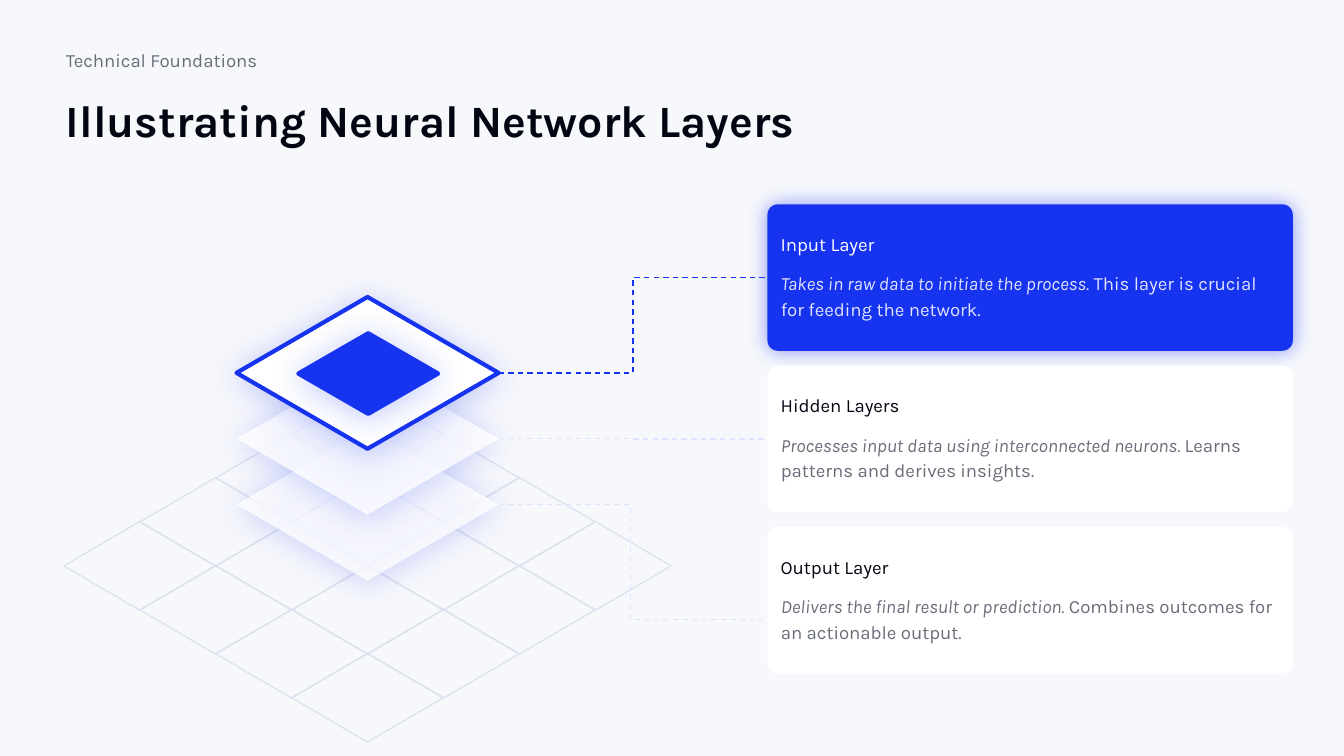
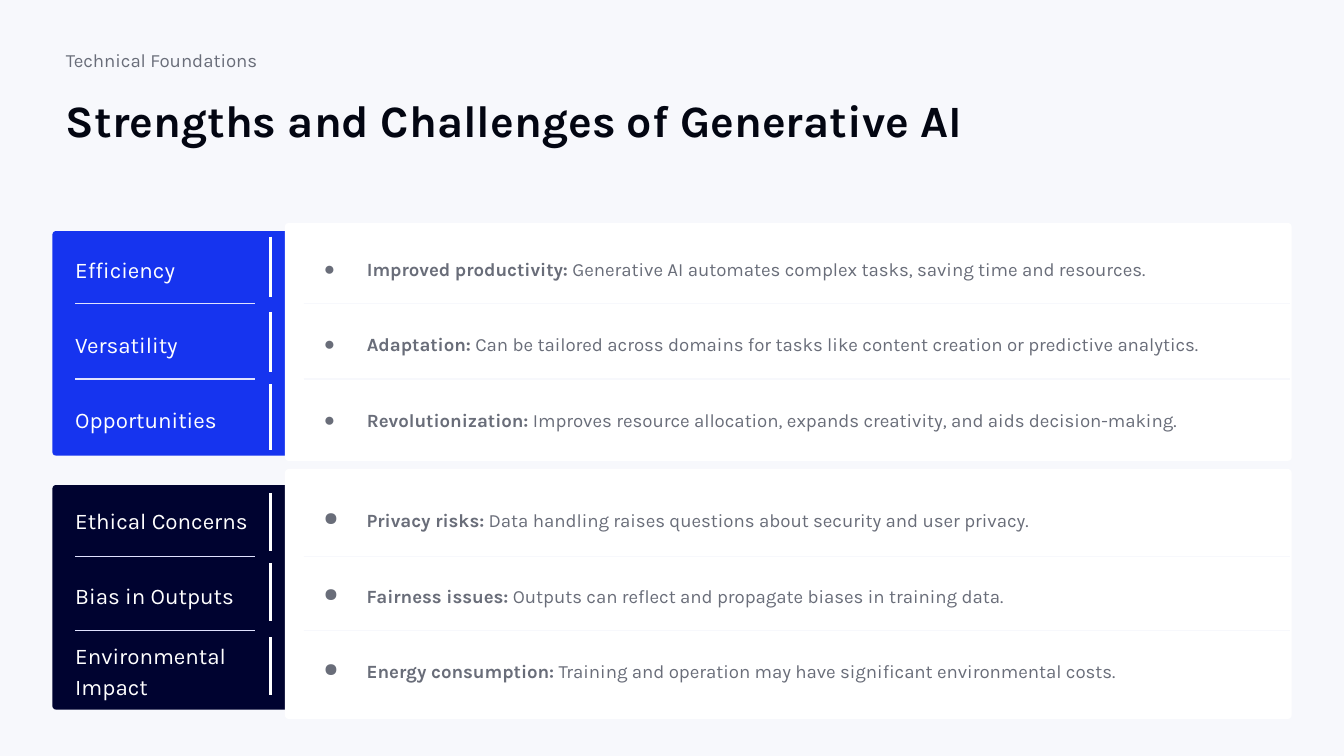
from lxml.etree import SubElement
from pptx import Presentation
from pptx.dml.color import RGBColor
from pptx.enum.dml import MSO_LINE
from pptx.enum.shapes import MSO_CONNECTOR, MSO_SHAPE
from pptx.enum.text import MSO_ANCHOR, MSO_AUTO_SIZE, PP_ALIGN
from pptx.oxml.ns import qn
from pptx.util import Inches, Pt

FONT = "Karla"
COLORS = {
    "paper": "F7F8FC", "white": "FFFFFF", "ink": "030612", "gray": "696D79",
    "blue": "1634EF", "navy": "000330", "pale": "E0E2FF",
    "grid": "DFE2EF", "lilac": "C7C1FD",
}
WIDTH, HEIGHT = 10, 10 * 9 / 16
COMPARISON_LAYOUT = 4

# Content
SECTION = "Technical Foundations"
LAYERS_TITLE = "Illustrating Neural Network Layers"
LAYERS = [
    ("Input Layer", "Takes in raw data to initiate the process.",
     " This layer is crucial for feeding the network."),
    ("Hidden Layers", "Processes input data using interconnected neurons.",
     " Learns patterns and derives insights."),
    ("Output Layer", "Delivers the final result or prediction.",
     " Combines outcomes for an actionable output."),
]
BALANCE_TITLE = "Strengths and Challenges of Generative AI"
# Each row: label, lead-in, explanation, top and bottom of its upright bar
BALANCE = [
    {"color": "blue", "band_top": 1.72, "panel": (1.66, 1.77),
     "first_row": 1.72, "dividers": (2.26, 2.82),
     "rows": [
         ("Efficiency", "Improved productivity:",
          " Generative AI automates complex tasks, saving time and resources.",
          1.76, 2.21),
         ("Versatility", "Adaptation:",
          " Can be tailored across domains for tasks like content creation"
          " or predictive analytics.", 2.32, 2.77),
         ("Opportunities", "Revolutionization:",
          " Improves resource allocation, expands creativity,"
          " and aids decision-making.", 2.86, 3.35)]},
    {"color": "navy", "band_top": 3.61, "panel": (3.49, 1.86),
     "first_row": 3.59, "dividers": (4.14, 4.69),
     "rows": [
         ("Ethical Concerns", "Privacy risks:",
          " Data handling raises questions about security and user privacy.",
          3.67, 4.10),
         ("Bias in Outputs", "Fairness issues:",
          " Outputs can reflect and propagate biases in training data.",
          4.19, 4.62),
         ("Environmental Impact", "Energy consumption:",
          " Training and operation may have significant environmental costs.",
          4.74, 5.17)]},
]


def rgb(name):
    return RGBColor.from_string(COLORS[name])


def add_alpha(color_element, percent):
    SubElement(color_element, qn("a:alpha"), val=str(percent * 1000))


def add_text(slide, box, runs, placeholder=None, size=10, color="gray", bold=False,
             anchor=MSO_ANCHOR.TOP, side=0.1, spacing=1.15, bullet=None):
    """Write runs, a list of (text, format), in a placeholder or a text box."""
    left, top, width, height = (Inches(length) for length in box)
    shape = placeholder
    if shape is None:
        shape = slide.shapes.add_textbox(left, top, width, height)
    else:
        shape.left, shape.top, shape.width, shape.height = left, top, width, height
        shape.element.getparent().append(shape.element)  # bring to front
    frame = shape.text_frame
    frame.word_wrap, frame.auto_size = True, MSO_AUTO_SIZE.NONE
    frame.vertical_anchor = anchor
    frame.margin_left = frame.margin_right = Inches(side)
    frame.margin_top = frame.margin_bottom = Inches(0.1)
    paragraph = frame.paragraphs[0]
    paragraph.alignment = PP_ALIGN.LEFT
    paragraph.line_spacing = spacing
    paragraph.space_before = paragraph.space_after = Pt(0)
    for text, style in runs:
        run = paragraph.add_run()
        run.text = text
        run.font.name, run.font.size = FONT, Pt(size)
        run.font.color.rgb = rgb(color)
        run.font.bold = style.get("bold", bold)
        run.font.italic = style.get("italic", False)
    # Bullet and indent
    properties = paragraph.element.get_or_add_pPr() if hasattr(paragraph, "element") \
        else paragraph._p.get_or_add_pPr()
    properties.set("marL", str(Inches(0.5 if bullet else 0)))
    properties.set("indent", str(Inches(-0.32 if bullet else 0)))
    if bullet:
        bullet_color = SubElement(properties, qn("a:buClr"))
        SubElement(bullet_color, qn("a:srgbClr"), val=COLORS[color])
        SubElement(properties, qn("a:buChar"), char=bullet)
    else:
        SubElement(properties, qn("a:buNone"))


def add_panel(shapes, kind, box, fill, opacity=None, line=None, line_width=0.75,
              corner=None, glow=None):
    """Draw a filled shape; glow is (opacity, blur, distance, degrees)."""
    shape = shapes.add_shape(kind, *(Inches(length) for length in box))
    if corner is not None:
        shape.adjustments[0] = corner
    shape.fill.solid()
    shape.fill.fore_color.rgb = rgb(fill)
    properties = shape.element.spPr
    if opacity is not None:
        add_alpha(properties.find(f"{qn('a:solidFill')}/{qn('a:srgbClr')}"), opacity)
    if line:
        shape.line.color.rgb = rgb(line)
        shape.line.width = Pt(line_width)
    else:
        shape.line.fill.background()
    shape.shadow.inherit = False
    if glow:
        strength, blur, distance, degrees = glow
        shadow = SubElement(
            properties.find(qn("a:effectLst")), qn("a:outerShdw"),
            blurRad=str(Pt(blur)), dist=str(Pt(distance)),
            dir=str(degrees * 60000), algn="bl", rotWithShape="0")
        add_alpha(SubElement(shadow, qn("a:srgbClr"), val=COLORS["blue"]), strength)
    return shape


def add_line(slide, start, end, color, width=0.75, kind=MSO_CONNECTOR.STRAIGHT,
             dashed=False):
    line = slide.shapes.add_connector(
        kind, *(Inches(length) for length in (*start, *end)))
    line.line.color.rgb = rgb(color)
    line.line.width = Pt(width)
    if dashed:
        line.line.dash_style = MSO_LINE.DASH
    SubElement(line.element.spPr, qn("a:effectLst"))
    return line


def start_slide(presentation, title):
    """Add a slide with its heading; return it and its free placeholders."""
    slide = presentation.slides.add_slide(
        presentation.slide_layouts[COMPARISON_LAYOUT])
    section, *bodies = [holder for holder in slide.placeholders
                        if holder.placeholder_format.idx > 0]
    add_text(slide, (0.39, 0.31, 2.36, 0.28), [(SECTION, {})], section,
             anchor=MSO_ANCHOR.MIDDLE, spacing=1.0)
    add_text(slide, (0.39, 0.59, 9.23, 0.9), [(title, {})], slide.shapes.title,
             size=24, color="ink", bold=True, spacing=1.0)
    return slide, bodies


def build_layers(presentation):
    slide, bodies = start_slide(presentation, LAYERS_TITLE)
    stack = slide.shapes.add_group_shape().shapes

    # Isometric floor of four by four tiles
    tile_width, tile_height, count = 1.13, 0.66, 4
    for row in range(count):
        for column in range(count):
            left = 2.17 + (column - row) * tile_width / 2
            top = 2.9 + (column + row) * 0.327
            hidden = row == column and row < 2
            add_panel(stack, MSO_SHAPE.DIAMOND, (left, top, tile_width, tile_height),
                      "white", opacity=10, line="lilac" if hidden else "grid")

    # Stacked plates, lowest first
    glow = (25, 18, 1.5, 90)
    plates = []
    for level in (2, 1, 0):
        box = (1.76, 2.21 + level * 0.49, 1.95, 1.13)
        style = {"opacity": 80} if level else {"line": "blue", "line_width": 2.25}
        plates.insert(0, add_panel(stack, MSO_SHAPE.DIAMOND, box, "white",
                                   glow=glow, **style))
    add_panel(stack, MSO_SHAPE.DIAMOND, (2.22, 2.48, 1.04, 0.6), "blue",
              line="blue", line_width=2.25, glow=glow)

    # Cards joined to their plates
    left, width = 5.71, 3.91
    for index, (name, lead, detail) in enumerate(LAYERS):
        active = index == 0
        top = 1.52 + index * 1.2
        card = add_panel(slide.shapes, MSO_SHAPE.ROUNDED_RECTANGLE,
                         (left, top, width, 1.09), "blue" if active else "white",
                         corner=0.072, glow=(50, 11.2, 0, 0) if active else None)
        link = add_line(slide, (3.71, 2.78 + index * 0.49), (5.67, 4.61),
                        "blue" if active else "pale",
                        kind=MSO_CONNECTOR.ELBOW, dashed=True)
        link.begin_connect(plates[index], 3)
        if index < len(LAYERS) - 1:  # the last link ends below the card's middle
            link.end_connect(card, 1)
        add_text(slide, (left, top + 0.38, width, 0.71),
                 [(lead, {"italic": True}), (detail, {})], bodies[index],
                 color="pale" if active else "gray")
        add_text(slide, (left, top + 0.1, width, 0.37), [(name, {})],
                 color="white" if active else "ink", anchor=MSO_ANCHOR.MIDDLE)


def build_balance(presentation):
    slide, bodies = start_slide(presentation, BALANCE_TITLE)
    free_bodies = iter(bodies)
    row_height, pitch = 0.54, 0.56
    for group in BALANCE:
        # Coloured band under a white panel
        panel_top, panel_height = group["panel"]
        for box, color in (((0.39, group["band_top"], 9.09, 1.67), group["color"]),
                           ((2.12, panel_top, 7.49, panel_height), "white")):
            add_panel(slide.shapes, MSO_SHAPE.ROUNDED_RECTANGLE, box, color,
                      corner=0.015)
        for height in group["dividers"]:
            add_line(slide, (0.56, height), (1.9, height), "pale")
            add_line(slide, (2.26, height), (9.6, height), "paper")

        # Rows
        for index, (label, lead, detail, bar_top, bar_bottom) in enumerate(group["rows"]):
            top = group["first_row"] + index * pitch
            add_line(slide, (2.01, bar_top), (2.01, bar_bottom), "white", width=1.5)
            add_text(slide, (0.56, top, 1.45, row_height), [(label, {})], size=12,
                     color="white", anchor=MSO_ANCHOR.MIDDLE, side=0)
            add_text(slide, (2.13, top, 7.49, row_height),
                     [(lead, {"bold": True}), (detail, {})], next(free_bodies, None),
                     anchor=MSO_ANCHOR.MIDDLE, bullet="●")


def main():
    presentation = Presentation()
    presentation.slide_width = Inches(WIDTH)
    presentation.slide_height = Inches(HEIGHT)
    background = presentation.slide_master.background.fill
    background.solid()
    background.fore_color.rgb = rgb("paper")
    build_layers(presentation)
    build_balance(presentation)
    presentation.save("out.pptx")


if __name__ == "__main__":
    main()
